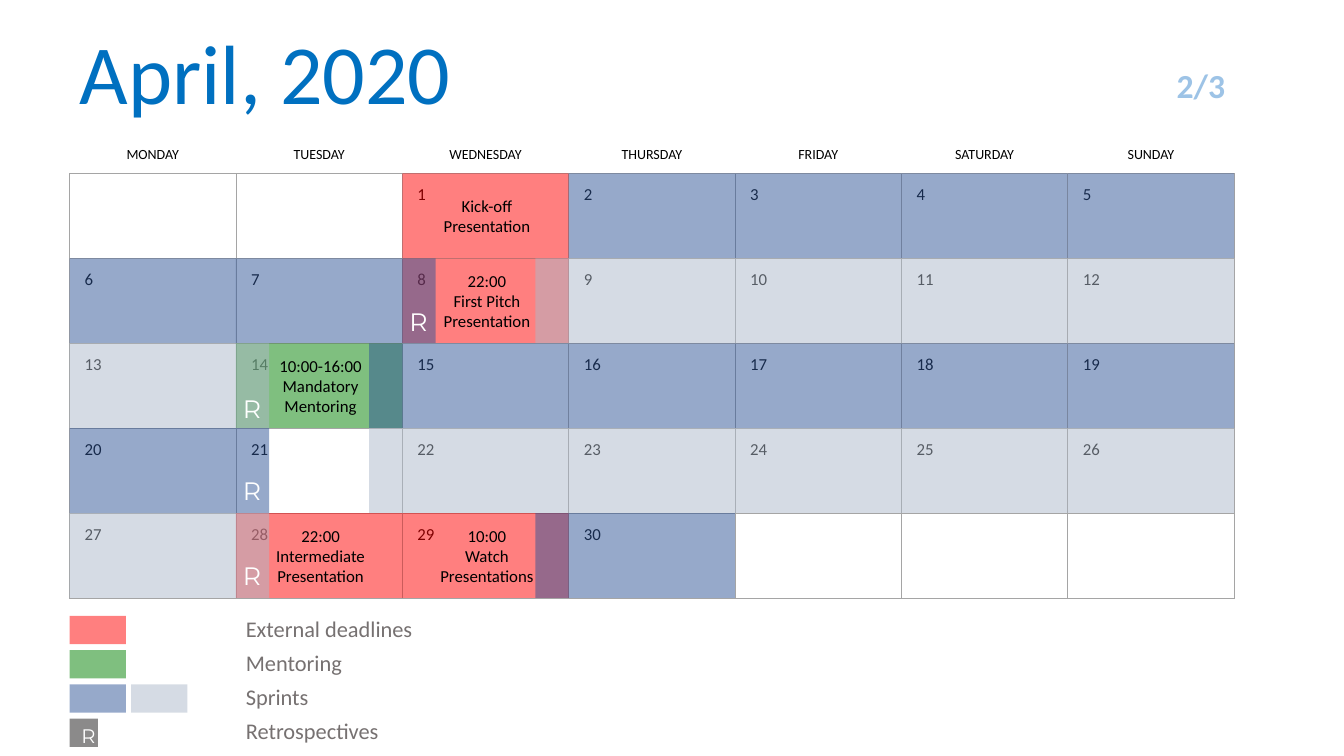
from dataclasses import dataclass

import lxml.etree
import pptx
import pptx.dml.color
import pptx.enum.shapes
import pptx.enum.text
import pptx.oxml.ns
import pptx.util

RGBColor = pptx.dml.color.RGBColor
Inches = pptx.util.Inches
Align = pptx.enum.text.PP_ALIGN
Anchor = pptx.enum.text.MSO_ANCHOR
AutoSize = pptx.enum.text.MSO_AUTO_SIZE

TITLE_BLUE = RGBColor(0x00, 0x70, 0xC0)
PALE_BLUE = RGBColor(0x9D, 0xC3, 0xE6)
BLACK = RGBColor(0x00, 0x00, 0x00)
WHITE = RGBColor(0xFF, 0xFF, 0xFF)
GRID_GRAY = RGBColor(0xA5, 0xA5, 0xA5)
LABEL_GRAY = RGBColor(0x76, 0x71, 0x71)
DEADLINE_RED = RGBColor(0xFF, 0x00, 0x00)
MENTORING_GREEN = RGBColor(0x00, 0x80, 0x00)
SPRINT_BLUE = RGBColor(0x2F, 0x55, 0x97)
SPRINT_GRAY = RGBColor(0xAD, 0xB9, 0xCA)
RETRO_DARK = RGBColor(0x18, 0x17, 0x17)

LEFT, TOP = 0.69, 1.34
HEADER, COLUMN, ROW = 0.38, 1.65, 0.84
WEEKS_TOP = TOP + HEADER
WEEKDAYS = ["MONDAY", "TUESDAY", "WEDNESDAY", "THURSDAY", "FRIDAY", "SATURDAY", "SUNDAY"]
WEEKS, FIRST_COLUMN, DAYS = 5, 2, 30
LEGEND_TOP, LEGEND_STEP, SWATCH = 6.11, 0.34, 0.28


@dataclass(frozen=True)
class Style:
    size: int
    color: RGBColor
    font: str = "Calibri"
    bold: bool = False
    align: Align = Align.CENTER
    spacing: float = 1.0


@dataclass(frozen=True)
class Event:
    week: int
    column: int
    color: RGBColor
    lines: tuple[str, ...]
    drop: float = 0.09


@dataclass(frozen=True)
class Sprint:
    week: int
    start: float
    end: float
    color: RGBColor


@dataclass(frozen=True)
class LegendEntry:
    label: str
    colors: tuple[RGBColor, ...]
    width: float = 2 * SWATCH


EVENT_STYLE = Style(12, BLACK)
DAY_STYLE = Style(12, BLACK, align=Align.LEFT, spacing=1.3)
LABEL_STYLE = Style(16, LABEL_GRAY, align=Align.LEFT)

EVENTS = [
    Event(1, 2, DEADLINE_RED, ("22:00\vFirst Pitch Presentation",)),
    Event(2, 1, MENTORING_GREEN, ("10:00-16:00\vMandatory", "Mentoring")),
    Event(4, 1, DEADLINE_RED, ("22:00\vIntermediate Presentation",)),
    Event(4, 2, DEADLINE_RED, ("10:00", "Watch Presentations")),
    Event(0, 2, DEADLINE_RED, ("Kick-off Presentation",), 0.2),
]
SPRINTS = [
    Sprint(1, 0, 1, SPRINT_BLUE),
    Sprint(1, 1, 2.2, SPRINT_BLUE),
    Sprint(1, 2.8, 4, SPRINT_GRAY),
    Sprint(2, 0, 1.2, SPRINT_GRAY),
    Sprint(2, 1.8, 3, SPRINT_BLUE),
    Sprint(3, 0, 1.2, SPRINT_BLUE),
    Sprint(3, 1.8, 3, SPRINT_GRAY),
    Sprint(4, 0, 1.2, SPRINT_GRAY),
    Sprint(4, 2.8, 4, SPRINT_BLUE),
]
FULL_DAYS = [(0, 3, SPRINT_BLUE), (1, 4, SPRINT_GRAY), (2, 3, SPRINT_BLUE), (3, 3, SPRINT_GRAY)]
SPRINTS += [
    Sprint(week, column, column + 1, color)
    for week, first, color in FULL_DAYS
    for column in range(first, len(WEEKDAYS))
]
RETROSPECTIVES = [(1.51, 2), (2.53, 1), (3.5, 1), (4.5, 1)]
LEGEND = [
    LegendEntry("External deadlines", (DEADLINE_RED,)),
    LegendEntry("Mentoring", (MENTORING_GREEN,)),
    LegendEntry("Sprints", (SPRINT_BLUE, SPRINT_GRAY)),
    LegendEntry("Retrospectives", (RETRO_DARK,), SWATCH),
]


def column_left(column: float) -> float:
    return LEFT + column * COLUMN


def week_top(week: float) -> float:
    return WEEKS_TOP + week * (ROW + 0.003)


def write(frame, lines: tuple[str, ...], style: Style) -> None:
    for index, line in enumerate(lines):
        para = frame.paragraphs[0] if index == 0 else frame.add_paragraph()
        para.alignment = style.align
        para.line_spacing = style.spacing
        for part_index, part in enumerate(line.split("\v")):
            if part_index:
                para.add_line_break()
            span = para.add_run()
            span.text = part
            span.font.name = style.font
            span.font.size = pptx.util.Pt(style.size)
            span.font.bold = style.bold
            span.font.color.rgb = style.color


def add_text(page, left: float, top: float, width: float, height: float,
             lines: tuple[str, ...], style: Style):
    box = page.shapes.add_textbox(Inches(left), Inches(top), Inches(width), Inches(height))
    box.text_frame.word_wrap = True
    box.text_frame.auto_size = AutoSize.SHAPE_TO_FIT_TEXT
    write(box.text_frame, lines, style)
    return box


def add_tint(page, left: float, top: float, width: float, height: float, color: RGBColor) -> None:
    tint = page.shapes.add_shape(pptx.enum.shapes.MSO_SHAPE.RECTANGLE,
                                 Inches(left), Inches(top), Inches(width), Inches(height))
    tint.shadow.inherit = False
    tint.line.fill.background()
    tint.fill.solid()
    tint.fill.fore_color.rgb = color
    fill_color = tint.fill._xPr.find(".//" + pptx.oxml.ns.qn("a:srgbClr"))
    lxml.etree.SubElement(fill_color, pptx.oxml.ns.qn("a:alpha"), val="50000")


def format_cell(cell, sides: str) -> None:
    properties = cell._tc.get_or_add_tcPr()
    for side in "LRTB":
        line = lxml.etree.SubElement(properties, pptx.oxml.ns.qn("a:ln" + side), w="6350")
        if side in sides:
            fill = lxml.etree.SubElement(line, pptx.oxml.ns.qn("a:solidFill"))
            lxml.etree.SubElement(fill, pptx.oxml.ns.qn("a:srgbClr"), val=str(GRID_GRAY))
        else:
            lxml.etree.SubElement(line, pptx.oxml.ns.qn("a:noFill"))
    cell.fill.background()


def add_calendar(page) -> None:
    count = len(WEEKDAYS)
    table = page.shapes.add_table(WEEKS + 1, count, Inches(LEFT), Inches(TOP),
                                  Inches(count * COLUMN), Inches(week_top(WEEKS) - TOP)).table
    table.first_row = False
    table.horz_banding = False
    for column in table.columns:
        column.width = Inches(COLUMN)
    for index, row in enumerate(table.rows):
        row.height = Inches(week_top(1) - WEEKS_TOP if index else HEADER)
        for cell in row.cells:
            format_cell(cell, "LRTB" if index else "B")
    for index, weekday in enumerate(WEEKDAYS):
        cell = table.cell(0, index)
        cell.vertical_anchor = Anchor.MIDDLE
        write(cell.text_frame, (weekday,), Style(10, BLACK))
    for day in range(1, DAYS + 1):
        week, column = divmod(day - 1 + FIRST_COLUMN, count)
        frame = table.cell(week + 1, column).text_frame
        write(frame, (str(day),), DAY_STYLE)
        frame.paragraphs[0]._p.get_or_add_pPr().set("marL", str(Inches(0.05)))


deck = pptx.Presentation()
deck.slide_width, deck.slide_height = Inches(13.33), Inches(7.5)
page = deck.slides.add_slide(deck.slide_layouts[5])

title = page.shapes.title
title.left, title.top = Inches(LEFT), Inches(0.02)
title.width, title.height = Inches(4.01), Inches(1.25)
title.text_frame.auto_size = AutoSize.NONE
title.text_frame.vertical_anchor = Anchor.BOTTOM
write(title.text_frame, ("April, 2020",), Style(60, TITLE_BLUE, align=Align.LEFT, spacing=0.9))

counter = add_text(page, 11.34, 0.64, 0.91, 0.45, ("2/3",),
                   Style(24, PALE_BLUE, bold=True, align=Align.RIGHT, spacing=0.8))
counter.text_frame.auto_size = AutoSize.NONE
counter.text_frame.vertical_anchor = Anchor.BOTTOM

add_calendar(page)
for event in EVENTS:
    left, top = column_left(event.column), week_top(event.week)
    add_tint(page, left, top, COLUMN, ROW, event.color)
    add_text(page, left + 0.07, top + event.drop * ROW, 1.54, ROW * (1 - 2 * event.drop),
             event.lines, EVENT_STYLE)
for sprint in SPRINTS:
    add_tint(page, column_left(sprint.start), week_top(sprint.week),
             (sprint.end - sprint.start) * COLUMN, ROW, sprint.color)
for week, column in RETROSPECTIVES:
    add_text(page, column_left(column) - 0.04, week_top(week), 0.4, 0.4, ("R",),
             Style(18, WHITE, "Montserrat"))

for index, entry in enumerate(LEGEND):
    top = LEGEND_TOP + index * LEGEND_STEP
    for position, color in enumerate(entry.colors):
        add_tint(page, LEFT + position * (entry.width + 0.05), top, entry.width, SWATCH, color)
    add_text(page, column_left(1), top - 0.06, 1.88, 0.37, (entry.label,), LABEL_STYLE)
add_text(page, LEFT + 0.02, top, 0.22, 0.34, ("R",), Style(14, WHITE, "Montserrat"))

deck.save("out.pptx")
